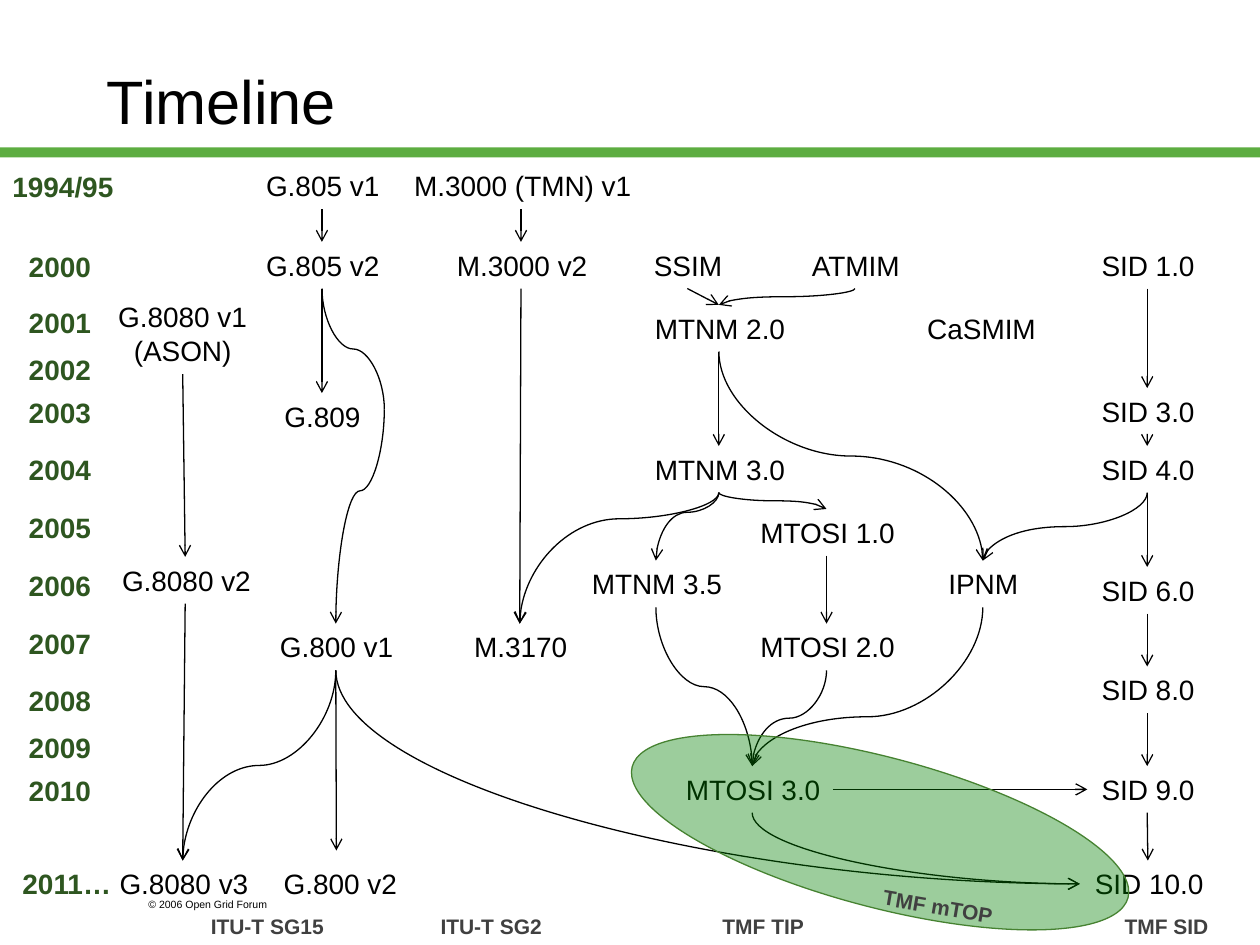
from lxml import etree
from pptx import Presentation
from pptx.dml.color import RGBColor
from pptx.enum import shapes, text
from pptx.oxml import ns
from pptx.util import Inches, Pt

BLACK = RGBColor(0x00, 0x00, 0x00)
BAR_GREEN = RGBColor(0x5D, 0xAD, 0x41)
YEAR_GREEN = RGBColor(0x2E, 0x56, 0x20)
GROUP_GRAY = RGBColor(0x40, 0x40, 0x40)
OVAL_GREEN = RGBColor(0x00, 0x80, 0x00)
OVAL_LINE = RGBColor(0x46, 0x82, 0x31)

ROW_HEIGHT = 0.37
TOP, LEFT, BOTTOM, RIGHT = range(4)

# Year: top
YEARS = {
    "2000": 1.93, "2001": 2.38, "2002": 2.75, "2003": 3.09, "2004": 3.54,
    "2005": 4, "2006": 4.46, "2007": 4.92, "2008": 5.38, "2009": 5.75,
    "2010": 6.09,
}

# Release: left, top, width
RELEASES = {
    "G.805 v1": (2, 1.29, 1.11), "G.805 v2": (2, 1.92, 1.11),
    "G.809": (2.15, 3.12, 0.81), "G.800 v1": (2.11, 4.95, 1.11),
    "G.800 v2": (2.14, 6.83, 1.11),
    "G.8080 v2": (0.85, 4.42, 1.24), "G.8080 v3": (0.83, 6.83, 1.24),
    "M.3000 (TMN) v1": (3.16, 1.29, 1.95), "M.3000 v2": (3.51, 1.92, 1.25),
    "M.3170": (3.65, 4.95, 0.95),
    "SSIM": (5.08, 1.92, 0.75), "ATMIM": (6.33, 1.92, 0.91),
    "CaSMIM": (7.25, 2.42, 1.07), "IPNM": (7.42, 4.45, 0.76),
    "MTNM 2.0": (5.08, 2.42, 1.25), "MTNM 3.0": (5.08, 3.54, 1.25),
    "MTNM 3.5": (4.58, 4.45, 1.25),
    "MTOSI 1.0": (5.92, 4.04, 1.28), "MTOSI 2.0": (5.92, 4.95, 1.28),
    "MTOSI 3.0": (5.33, 6.08, 1.28),
    "SID 1.0": (8.63, 1.92, 0.95), "SID 3.0": (8.63, 3.08, 0.95),
    "SID 4.0": (8.63, 3.54, 0.95), "SID 6.0": (8.63, 4.5, 0.95),
    "SID 8.0": (8.63, 5.29, 0.95), "SID 9.0": (8.63, 6.08, 0.95),
    "SID 10.0": (8.57, 6.83, 1.08),
}

# Working group: left, width
GROUPS = {"ITU-T SG15": (1.56, 1.11), "ITU-T SG2": (3.39, 1.01),
          "TMF TIP": (5.63, 0.85), "TMF SID": (8.81, 0.88)}

# Chains of releases joined by straight arrows
CHAINS = [
    ["G.805 v1", "G.805 v2", "G.809"],
    ["M.3000 (TMN) v1", "M.3000 v2", "M.3170"],
    ["G.8080 v1", "G.8080 v2", "G.8080 v3"],
    ["SSIM", "MTNM 2.0", "MTNM 3.0"],
    ["MTOSI 1.0", "MTOSI 2.0"],
    ["SID 1.0", "SID 3.0", "SID 4.0", "SID 6.0", "SID 8.0", "SID 9.0",
     "SID 10.0"],
]

# Curved arrows: source, target, bend position
CURVES = [
    ("MTNM 2.0", "IPNM", 0.5), ("ATMIM", "MTNM 2.0", 0.5),
    ("MTNM 3.0", "MTOSI 1.0", 0.5), ("MTNM 3.0", "MTNM 3.5", 0.29),
    ("MTNM 3.0", "M.3170", 0.2), ("MTNM 3.5", "MTOSI 3.0", 0.5),
    ("MTOSI 2.0", "MTOSI 3.0", 0.5), ("SID 4.0", "IPNM", 0.5),
    ("IPNM", "MTOSI 3.0", 0.69), ("G.800 v1", "G.8080 v3", 0.5),
]


def add_text(slide, content, left, top, width, height=ROW_HEIGHT, *, size=16,
             color=BLACK, bold=False, align=text.PP_ALIGN.RIGHT, wrap=False,
             anchor=text.MSO_ANCHOR.TOP, rotation=0):
    box = slide.shapes.add_textbox(Inches(left), Inches(top),
                                   Inches(width), Inches(height))
    box.rotation = rotation
    frame = box.text_frame
    frame.word_wrap = wrap
    frame.vertical_anchor = anchor
    frame.text = content
    for paragraph in frame.paragraphs:
        paragraph.alignment = align
        paragraph.font.name = "Arial"
        paragraph.font.size = Pt(size)
        paragraph.font.bold = bold
        paragraph.font.color.rgb = color
    return box


def add_filled_shape(slide, kind, left, top, width, height, color):
    shape = slide.shapes.add_shape(kind, Inches(left), Inches(top),
                                   Inches(width), Inches(height))
    shape.shadow.inherit = False
    shape.fill.solid()
    shape.fill.fore_color.rgb = color
    shape.line.fill.background()
    return shape


def add_line(slide, kind, start, end, arrow=True):
    connector = slide.shapes.add_connector(
        kind, *(Inches(value) for value in (*start, *end)))
    connector.line.color.rgb = BLACK
    connector.line.width = Pt(0.75)
    properties = connector._element.spPr
    if arrow:
        outline = properties.find(ns.qn("a:ln"))
        etree.SubElement(outline, ns.qn("a:tailEnd"), type="arrow")
    etree.SubElement(properties, ns.qn("a:effectLst"))
    return connector


def add_straight(slide, source, target, sides=(BOTTOM, TOP)):
    connector = add_line(slide, shapes.MSO_CONNECTOR.STRAIGHT, (0, 0), (1, 1))
    connector.begin_connect(source, sides[0])
    connector.end_connect(target, sides[1])


def add_curve(slide, start, end, bend=None, arrow=True):
    """Curve that leaves start downwards; with no bend it arrives sideways."""
    (x1, y1), (x2, y2) = start, end
    middle_x, middle_y = (x1 + x2) / 2, (y1 + y2) / 2
    half_width, half_height = (y2 - y1) / 2, abs(x2 - x1) / 2
    # The curve is laid out sideways, then turned to run downwards
    side = 1 if x2 < x1 else -1
    connector = add_line(
        slide, shapes.MSO_CONNECTOR.CURVE,
        (middle_x - side * half_width, middle_y - half_height),
        (middle_x + side * half_width, middle_y + half_height), arrow)
    properties = connector._element.spPr
    turn = 90 if side == 1 else 270
    properties.find(ns.qn("a:xfrm")).set("rot", str(turn * 60000))
    geometry = properties.find(ns.qn("a:prstGeom"))
    if bend is None:
        geometry.set("prst", "curvedConnector2")
    else:
        etree.SubElement(geometry.find(ns.qn("a:avLst")), ns.qn("a:gd"),
                         name="adj1", fmla=f"val {round(bend * 100000)}")


def side_point(box, side):
    across, down = {TOP: (0.5, 0), LEFT: (0, 0.5), BOTTOM: (0.5, 1)}[side]
    return ((box.left + across * box.width) / Inches(1),
            (box.top + down * box.height) / Inches(1))


def add_mtop_oval(slide):
    oval = add_filled_shape(slide, shapes.MSO_SHAPE.OVAL,
                            4.95, 6.01, 4.07, 1.19, OVAL_GREEN)
    oval.rotation = 14.8
    oval.line.color.rgb = OVAL_LINE
    oval.line.width = Pt(0.75)
    color = oval._element.spPr.find(ns.qn("a:solidFill"))[0]
    etree.SubElement(color, ns.qn("a:alpha"), val="39000")
    add_text(slide, "TMF mTOP", 6.9, 7.04, 1.08, 0.3, size=12, bold=True,
             color=GROUP_GRAY, rotation=9.6)


def main():
    presentation = Presentation()
    presentation.slide_width = Inches(10)
    presentation.slide_height = Inches(7.5)
    slide = presentation.slides.add_slide(presentation.slide_layouts[6])
    left_align = text.PP_ALIGN.LEFT

    # Title, bar and footer
    add_filled_shape(slide, shapes.MSO_SHAPE.RECTANGLE,
                     0, 1.17, 10, 0.08, BAR_GREEN)
    add_text(slide, "© 2006 Open Grid Forum", 1.08, 7.08, 1.5, 0.2, size=6,
             align=left_align, wrap=True)
    add_text(slide, "Timeline", 0.75, 0.17, 8.5, 1.25, size=35, wrap=True,
             align=left_align, anchor=text.MSO_ANCHOR.MIDDLE)

    # Years
    year_format = {"color": YEAR_GREEN, "bold": True, "align": left_align}
    add_text(slide, "1994/95", 0, 1.3, 1.01, **year_format)
    for year, top in YEARS.items():
        add_text(slide, year, 0.13, top, 0.7, **year_format)
    add_text(slide, "2011…", 0.08, 6.83, 0.91, **year_format)

    # Releases and working groups
    boxes = {name: add_text(slide, name, *place)
             for name, place in RELEASES.items()}
    boxes["G.8080 v1"] = add_text(slide, "G.8080 v1\n(ASON)", 0.83, 2.33, 1.24,
                                  0.64, align=text.PP_ALIGN.CENTER)
    for name, (left, width) in GROUPS.items():
        add_text(slide, name, left, 7.2, width, 0.3, size=12, bold=True,
                 color=GROUP_GRAY)

    # Straight arrows
    for chain in CHAINS:
        for source, target in zip(chain, chain[1:]):
            add_straight(slide, boxes[source], boxes[target])
    add_straight(slide, boxes["MTOSI 3.0"], boxes["SID 9.0"], (RIGHT, LEFT))
    add_line(slide, shapes.MSO_CONNECTOR.STRAIGHT,
             side_point(boxes["G.800 v1"], BOTTOM), (2.67, 6.75))

    # Curved arrows
    for source, target, bend in CURVES:
        add_curve(slide, side_point(boxes[source], BOTTOM),
                  side_point(boxes[target], TOP), bend)
    for source in ("G.800 v1", "MTOSI 3.0"):
        add_curve(slide, side_point(boxes[source], BOTTOM),
                  side_point(boxes["SID 10.0"], LEFT))
    detour = (3.05, 3.25)
    add_curve(slide, side_point(boxes["G.805 v2"], BOTTOM), detour, 0.5,
              arrow=False)
    add_curve(slide, detour, side_point(boxes["G.800 v1"], TOP), 0.38)

    add_mtop_oval(slide)
    presentation.save("out.pptx")


if __name__ == "__main__":
    main()
